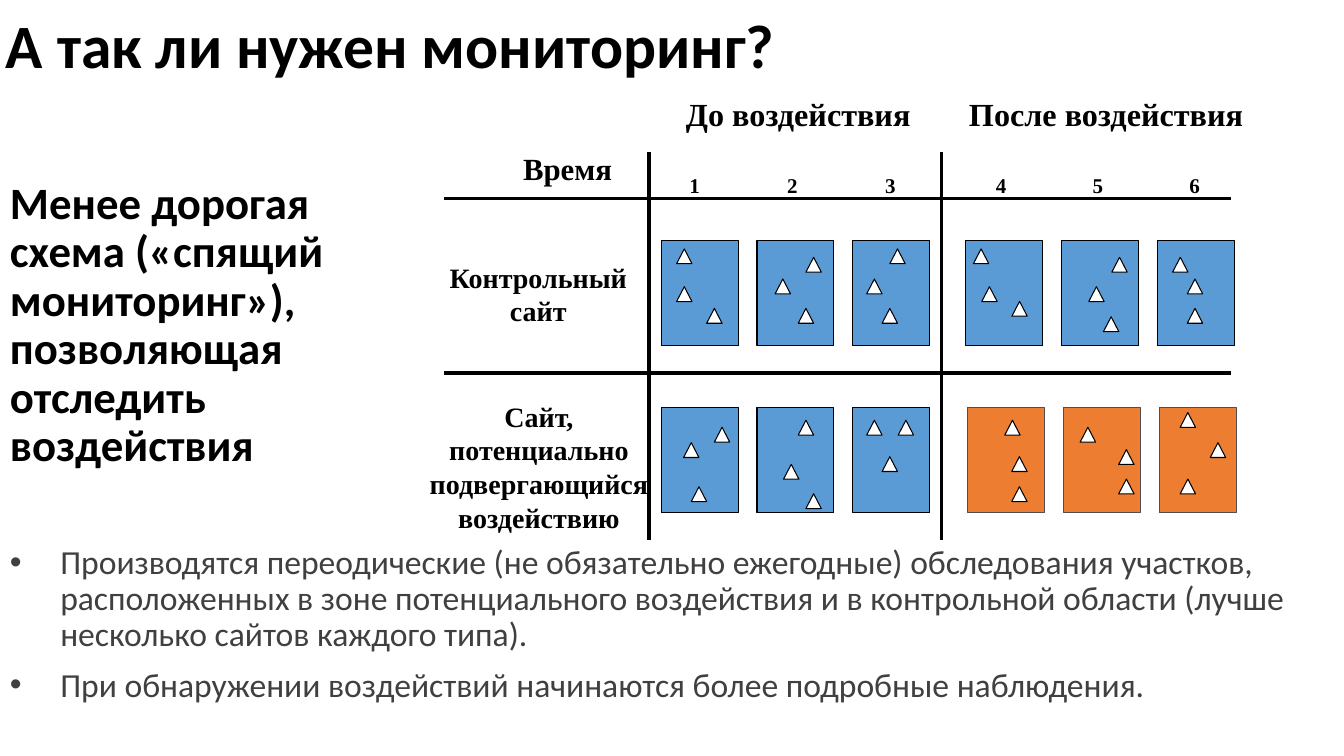
from lxml.etree import SubElement
from pptx import Presentation
from pptx.dml.color import RGBColor
from pptx.enum.shapes import MSO_CONNECTOR as Connector, MSO_SHAPE as Shape
from pptx.enum.text import MSO_ANCHOR as Anchor, PP_ALIGN as Align
from pptx.oxml.ns import qn
from pptx.util import Pt

BLACK = RGBColor(0x00, 0x00, 0x00)
WHITE = RGBColor(0xFF, 0xFF, 0xFF)
GREY = RGBColor(0x40, 0x40, 0x40)
BORDER = RGBColor(0x4F, 0x4F, 0x4F)
BLUE = RGBColor(0x5B, 0x9B, 0xD5)
ORANGE = RGBColor(0xED, 0x7D, 0x31)

deck = Presentation()
deck.slide_width, deck.slide_height = Pt(960), Pt(540)
page = deck.slides.add_slide(deck.slide_layouts[5])


def write(text, left, top, width, height, box=None, size=20, font="Times New Roman",
          color=BLACK, bold=True, align=Align.LEFT, anchor=Anchor.TOP,
          inset=True, wrap=True, line=None, gap=0, bullet=False):
    box = box or page.shapes.add_textbox(0, 0, 0, 0)
    box.left, box.top, box.width, box.height = Pt(left), Pt(top), Pt(width), Pt(height)
    frame = box.text_frame
    frame.word_wrap = wrap
    frame.vertical_anchor = anchor
    if not inset:
        frame.margin_left = frame.margin_top = frame.margin_right = frame.margin_bottom = 0
    frame.text = text
    for index, para in enumerate(frame.paragraphs):
        if bullet:
            props = para._p.get_or_add_pPr()
            props.set("marL", str(Pt(36)))
            props.set("indent", str(-Pt(36)))
            SubElement(props, qn("a:buFont"), typeface="Arial")
            SubElement(props, qn("a:buChar"), char="•")
        para.alignment = align
        para.space_before = Pt(gap if index else 0)
        if line:
            para.line_spacing = line
        for span in para.runs:
            span.font.name, span.font.size, span.font.bold = font, Pt(size), bold
            span.font.color.rgb = color


def draw(kind, left, top, width, height, fill, border):
    shape = page.shapes.add_shape(kind, Pt(left), Pt(top), Pt(width), Pt(height))
    shape.shadow.inherit = False
    shape.fill.solid()
    shape.fill.fore_color.rgb = fill
    shape.line.color.rgb = border
    shape.line.width = Pt(0.75)


write("А так ли нужен мониторинг?", -3, 0, 828, 69, box=page.shapes.title,
      size=44, font="Calibri", anchor=Anchor.MIDDLE, line=0.9)

for text, left, width in [("До воздействия", 472.3, 196), ("После воздействия", 686.2, 208)]:
    write(text, left, 56.2, width, 50.4, size=23, align=Align.CENTER,
          anchor=Anchor.MIDDLE, inset=False)

write("Время", 373.7, 106.6, 68.4, 13.7, size=22, inset=False)
for text, left, top, width in [
    ("Контрольный сайт", 315.4, 185.8, 138.2),
    ("Сайт, потенциально подвергающийся воздействию", 306, 285.1, 158),
]:
    write(text, left, top, width, 46.8, align=Align.CENTER, inset=False)

for number, left in enumerate([492.5, 562.3, 632.2, 711.4, 780.5, 849.6], 1):
    write(str(number), left, 123.1, 8.6, 17.3, size=15, inset=False, wrap=False)

for x1, y1, x2, y2 in [
    (463.7, 108.7, 463.7, 386), (672.5, 108.7, 672.5, 386),
    (317.5, 141.8, 879, 141.8), (317.5, 266.4, 879, 266.4),
]:
    rule = page.shapes.add_connector(Connector.STRAIGHT, Pt(x1), Pt(y1), Pt(x2), Pt(y2))
    rule.line.color.rgb = BLACK
    rule.line.width = Pt(2.48)
    SubElement(rule._element.spPr, qn("a:effectLst"))

plot_groups = [
    (472.3, 171.8, BLUE, BLACK, [
        [(11, 6), (11, 33), (32.5, 48.5)],
        [(35, 12), (13, 27.5), (29.5, 48.5)],
        [(10, 27.5), (21, 48.5), (26.5, 6)],
    ]),
    (689.8, 171.8, BLUE, BLACK, [
        [(5.5, 6), (11.5, 33), (33, 43.5)],
        [(36, 12), (19.5, 33), (30, 54.5)],
        [(11, 12), (21.5, 27.5), (21.5, 48.5)],
    ]),
    (472.3, 291.2, BLUE, BLACK, [
        [(38, 14), (16, 25), (21.5, 56.5)],
        [(35, 61.5), (19, 40.5), (29.5, 9)],
        [(32.5, 9), (10, 9), (21, 35)],
    ]),
    (691.2, 291.2, ORANGE, BORDER, [
        [(31.5, 35), (26.5, 9), (31.5, 56.5)],
        [(12, 14), (39.5, 30), (39.5, 51)],
        [(15, 3.5), (36.5, 25), (15, 51)],
    ]),
]
for group_left, top, fill, border, plots in plot_groups:
    for column, samples in enumerate(plots):
        left = group_left + column * 68.4
        draw(Shape.RECTANGLE, left, top, 54.9, 75.2, fill, border)
        for dx, dy in samples:
            draw(Shape.ISOSCELES_TRIANGLE, left + dx, top + dy, 11, 10.6, WHITE, BLACK)

write("Производятся переодические (не обязательно ежегодные) обследования участков, "
      "расположенных в зоне потенциального воздействия и в контрольной области "
      "(лучше несколько сайтов каждого типа).\n"
      "При обнаружении воздействий начинаются более подробные наблюдения.",
      0, 386, 945.4, 128, size=24, font="Calibri", color=GREY, bold=False,
      line=0.9, gap=10, bullet=True)

write("Менее дорогая\nсхема («спящий мониторинг»),\nпозволяющая отследить воздействия",
      0, 148.3, 324.7, 169.2, size=32, font="Calibri", anchor=Anchor.MIDDLE, line=0.9)

deck.save("out.pptx")
